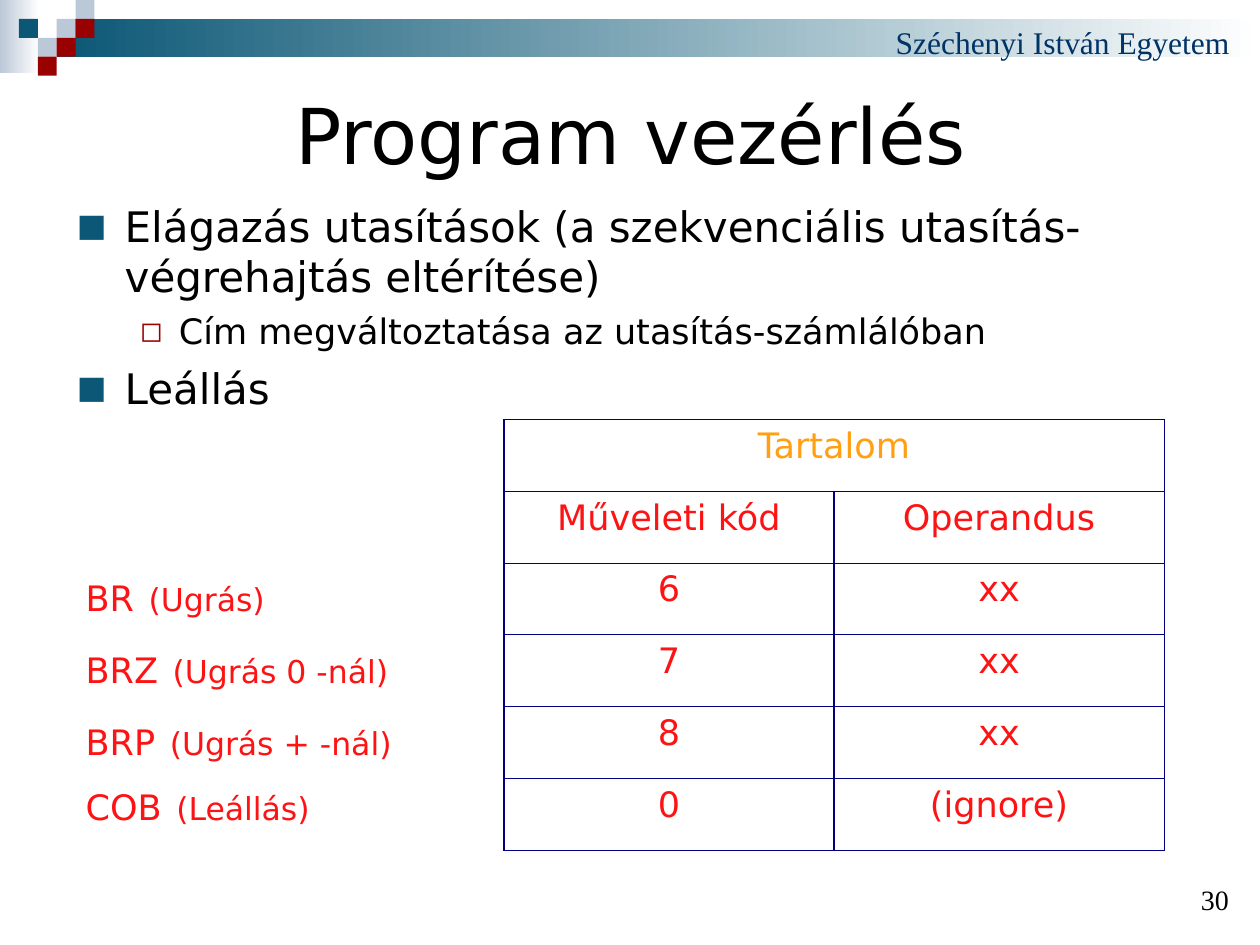
from pptx import Presentation
from pptx.dml.color import RGBColor
from pptx.enum import shapes, text
from pptx.oxml import parse_xml
from pptx.oxml.ns import nsdecls
from pptx.util import Inches, Pt

THEME = {
    "sans": "DejaVu Sans", "serif": "Times New Roman",
    "black": "000000", "white": "FFFFFF", "teal": "0B5775", "pale": "BBC8D7",
    "dark": "990000", "navy": "003366", "rule": "000080",
    "amber": "FF9F11", "red": "FD1313",
    "title": 44, "main": 24, "sub": 20, "note": 18, "gap": 26, "page": 16,
}
HEAD = "Széchenyi István Egyetem"
TITLE = "Program vezérlés"
PAGE = "30"
BODY = [
    (0, "Elágazás utasítások (a szekvenciális utasítás-végrehajtás eltérítése)"),
    (1, "Cím megváltoztatása az utasítás-számlálóban"),
    (0, "Leállás"),
]
# bullet, colour, percent of text, left, hanging, type size, space before
LEVELS = [("■", "teal", 75, 0.38, 0.38, "main", 6),
          ("◻", "dark", 80, 0.81, 0.31, "sub", 5)]
TOP = "Tartalom"
COLS = ["Műveleti kód", "Operandus"]
CODES = [
    ("BR", "(Ugrás)", "6", "xx"),
    ("BRZ", "(Ugrás 0 -nál)", "7", "xx"),
    ("BRP", "(Ugrás + -nál)", "8", "xx"),
    ("COB", "(Leállás)", "0", "(ignore)"),
]
WIDTHS = [2.98, 0.44, 2.62, 2.62]
ROW = 0.57
FADES = [("pale", 0, 0, 0.31, 0.58), ("teal", 0.45, 0.15, 9.55, 0.3)]
SIDE = 0.15
TILES = [("pale", 3, 1), ("pale", 4, 0), ("dark", 4, 1), ("pale", 2, 2),
         ("teal", 1, 1), ("dark", 3, 2), ("dark", 2, 3)]  # colour, column, row


def tint(name):
    return RGBColor.from_string(THEME[name])


def style(font, size, color="black", face="sans"):
    font.name, font.size = THEME[face], Pt(THEME[size])
    font.color.rgb = tint(color)


def place(shape, *box):
    shape.left, shape.top, shape.width, shape.height = map(Inches, box)


def block(group, color, *box, fade=False):
    shape = group.shapes.add_shape(shapes.MSO_SHAPE.RECTANGLE, *map(Inches, box))
    shape.shadow.inherit = False
    shape.line.fill.background()
    if fade:
        shape.fill.gradient()
        shape.fill.gradient_angle = 0
        for stop, name in zip(shape.fill.gradient_stops, (color, "white")):
            stop.color.rgb = tint(name)
    else:
        shape.fill.solid()
        shape.fill.fore_color.rgb = tint(color)


def label(slide, words, size, color, align, anchor, *box):
    frame = slide.shapes.add_textbox(*map(Inches, box)).text_frame
    frame.word_wrap = True
    frame.vertical_anchor = anchor
    frame.text = words
    frame.paragraphs[0].alignment = align
    style(frame.paragraphs[0].runs[0].font, size, color, "serif")


def bullet(para, mark, color, scale, left, hang):
    props = para._p.get_or_add_pPr()
    props.set("marL", str(Inches(left)))
    props.set("indent", str(-Inches(hang)))
    for xml in (f'<a:buClr {nsdecls("a")}><a:srgbClr val="{THEME[color]}"/></a:buClr>',
                f'<a:buSzPct {nsdecls("a")} val="{scale * 1000}"/>',
                f'<a:buFont {nsdecls("a")} typeface="{THEME["sans"]}"/>',
                f'<a:buChar {nsdecls("a")} char="{mark}"/>'):
        props.append(parse_xml(xml))


def border(cell, sides):
    """Rule the named sides (of L, R, T, B) and leave the others bare."""
    props = cell._tc.get_or_add_tcPr()
    for spot, side in enumerate("LRTB"):
        fill = (f'<a:solidFill><a:srgbClr val="{THEME["rule"]}"/></a:solidFill>'
                if side in sides else "<a:noFill/>")
        props.insert(spot, parse_xml(
            f'<a:ln{side} {nsdecls("a")} w="{Pt(0.75)}">{fill}</a:ln{side}>'))


def fill_body(frame):
    frame.auto_size = text.MSO_AUTO_SIZE.NONE
    frame.text = "\n".join(words for _, words in BODY)
    for i, (para, (level, _)) in enumerate(zip(frame.paragraphs, BODY)):
        *marks, size, before = LEVELS[level]
        para.level = level
        para.space_before = Pt(before if i else 0)
        bullet(para, *marks)
        style(para.runs[0].font, size)


def add_codes(slide):
    rows = len(CODES) + 2
    frame = slide.shapes.add_table(rows, len(WIDTHS), Inches(0.58), Inches(3.33),
                                   Inches(sum(WIDTHS)), Inches(ROW * rows))
    table = frame.table
    table.first_row = table.horz_banding = False
    for col, width in zip(table.columns, WIDTHS):
        col.width = Inches(width)
    for r in range(rows):
        for c in range(len(WIDTHS)):
            cell = table.cell(r, c)
            cell.fill.background()
            border(cell, "LRTB" if c > 1 else "R" if c else "")
    table.cell(0, 2).merge(table.cell(0, 3))

    values = [[TOP], COLS] + [code[2:] for code in CODES]
    for r, row in enumerate(values):
        for c, words in enumerate(row, 2):
            cell = table.cell(r, c)
            cell.text = words
            para = cell.text_frame.paragraphs[0]
            para.alignment = text.PP_ALIGN.CENTER
            style(para.runs[0].font, "sub", "red" if r else "amber")
    for r, (name, note, *_) in enumerate(CODES, 2):
        para = table.cell(r, 0).text_frame.paragraphs[0]
        if r == rows - 1:
            para.line_spacing = 0.85
        for words, size in ((name, "sub"), (" ", "gap"), (note, "note")):
            run = para.add_run()
            run.text = words
            style(run.font, size, "red")


def main():
    deck = Presentation()
    deck.slide_width, deck.slide_height = Inches(10), Inches(7.5)
    slide = deck.slides.add_slide(deck.slide_layouts[1])
    title, body = slide.placeholders

    band = slide.shapes.add_group_shape()
    for color, *box in FADES:
        block(band, color, *box, fade=True)
    for color, col, row in TILES:
        block(band, color, col * SIDE, row * SIDE, SIDE, SIDE)
    label(slide, HEAD, "note", "navy", text.PP_ALIGN.LEFT,
          text.MSO_ANCHOR.TOP, 7.01, 0.13, 2.99, 0.4)

    place(title, 0.51, 0.68, 9, 0.77)
    title.text_frame.text = TITLE
    title.text_frame.auto_size = text.MSO_AUTO_SIZE.NONE
    title.text_frame.paragraphs[0].alignment = text.PP_ALIGN.CENTER
    style(title.text_frame.paragraphs[0].runs[0].font, "title")

    place(body, 0.51, 1.54, 8.99, 4.87)
    fill_body(body.text_frame)
    add_codes(slide)
    label(slide, PAGE, "page", "black", text.PP_ALIGN.RIGHT,
          text.MSO_ANCHOR.BOTTOM, 8.7, 6.98, 1.15, 0.34)
    deck.save("out.pptx")


if __name__ == "__main__":
    main()
